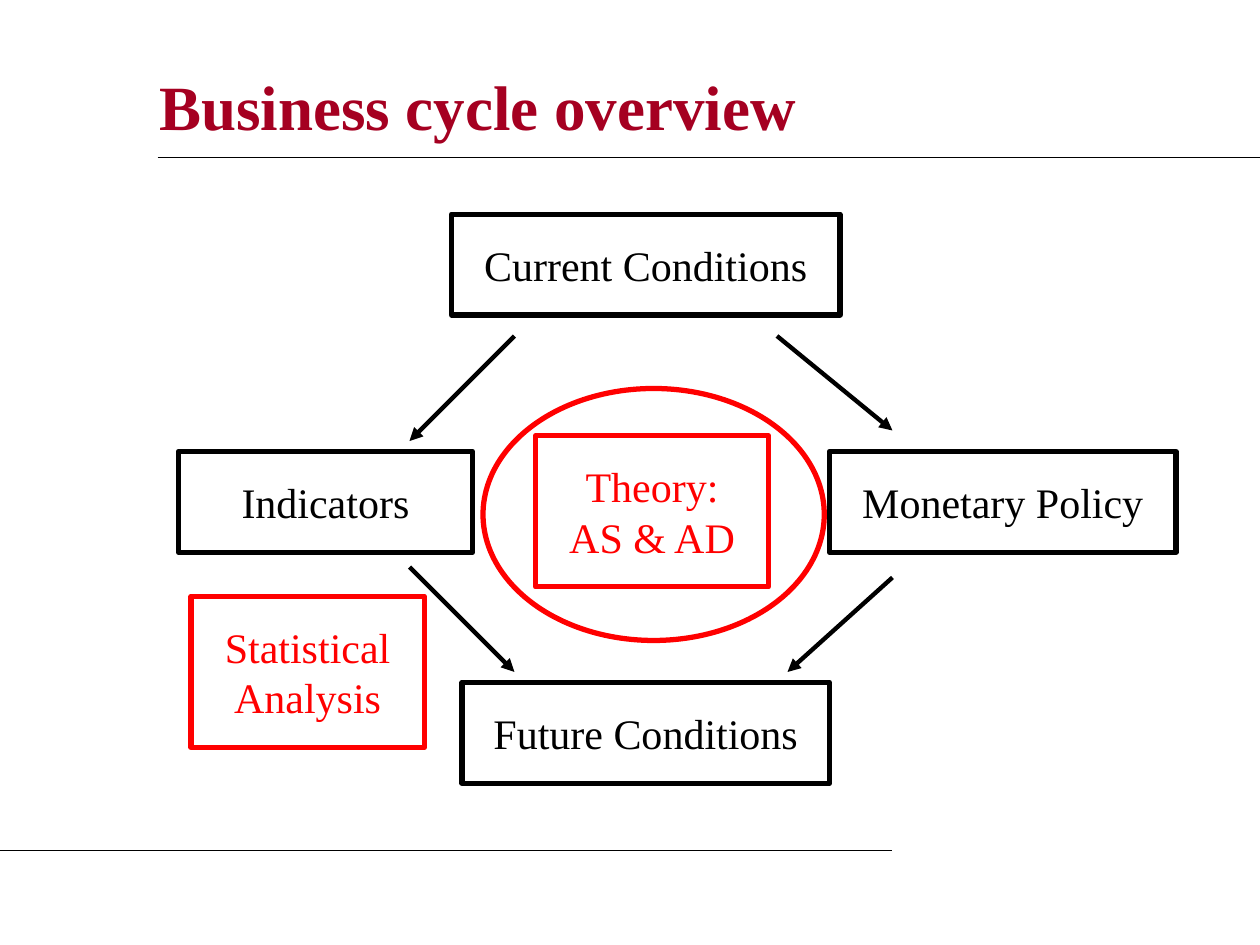
"""Build the business cycle overview slide."""
from lxml import etree
from pptx import Presentation
from pptx import util as u
from pptx.dml import color as colors
from pptx.enum import shapes, text
from pptx.oxml import ns

Pt = u.Pt
BLACK, RED, CRIMSON = "000000", "FF0000", "A50021"


def rgb(value):
    return colors.RGBColor.from_string(value)


def write(shape, words, size=24, color=BLACK, bold=False, align="CENTER",
          anchor="TOP", margins=(14.4, 14.4)):
    frame = shape.text_frame
    frame.word_wrap = True
    frame.vertical_anchor = text.MSO_ANCHOR[anchor]
    frame.margin_left = frame.margin_right = Pt(margins[0])
    frame.margin_top = frame.margin_bottom = Pt(margins[1])
    paragraph = frame.paragraphs[0]
    paragraph.alignment = text.PP_ALIGN[align]
    run = paragraph.add_run()
    run.text = words
    run.font.name = "Times New Roman"
    run.font.size = Pt(size)
    run.font.bold = bold
    run.font.color.rgb = rgb(color)


presentation = Presentation()
presentation.slide_width, presentation.slide_height = Pt(720), Pt(540)
slide = presentation.slides.add_slide(presentation.slide_layouts[6])

title = slide.shapes.add_textbox(Pt(84), Pt(30), Pt(582), Pt(60))
write(title, "Business cycle overview", size=36, color=CRIMSON, bold=True,
      align="LEFT", anchor="MIDDLE", margins=(7.2, 3.6))

lines = [
    (90, 90, 720, 90, 0.75, False),
    (0, 486, 510, 486, 0.75, False),
    (294, 192, 234, 252, 2.5, True),
    (444, 192, 510, 246, 2.5, True),
    (510, 330, 450, 384, 2.5, True),
    (234, 324, 294, 384, 2.5, True),
]
for x1, y1, x2, y2, width, arrow in lines:
    connector = slide.shapes.add_connector(
        shapes.MSO_CONNECTOR.STRAIGHT, Pt(x1), Pt(y1), Pt(x2), Pt(y2))
    connector.line.width = Pt(width)
    connector.line.color.rgb = rgb(BLACK)
    if arrow:
        etree.SubElement(connector.line._get_or_add_ln(), ns.qn("a:tailEnd"), type="triangle")
    etree.SubElement(connector._element.spPr, ns.qn("a:effectLst"))

outlines = [
    ("RECTANGLE", "Indicators", 102, 258, 168, 57.6, BLACK),
    ("RECTANGLE", "Monetary Policy", 474, 258, 198, 57.6, BLACK),
    ("RECTANGLE", "Current Conditions", 258, 122.4, 222, 57.6, BLACK),
    ("RECTANGLE", "Theory: AS & AD", 306, 249, 133.2, 86.4, RED),
    ("RECTANGLE", "Future Conditions", 264, 390, 210, 57.6, BLACK),
    ("RECTANGLE", "Statistical Analysis", 109.2, 340.8, 133.2, 86.4, RED),
    ("OVAL", "", 276, 222, 195, 144, RED),
]
for kind, words, left, top, width, height, color in outlines:
    shape = slide.shapes.add_shape(
        shapes.MSO_SHAPE[kind], Pt(left), Pt(top), Pt(width), Pt(height))
    shape.shadow.inherit = False
    shape.fill.background()
    shape.line.width = Pt(3)
    shape.line.color.rgb = rgb(color)
    if words:
        write(shape, words, color=color)

presentation.save("out.pptx")
